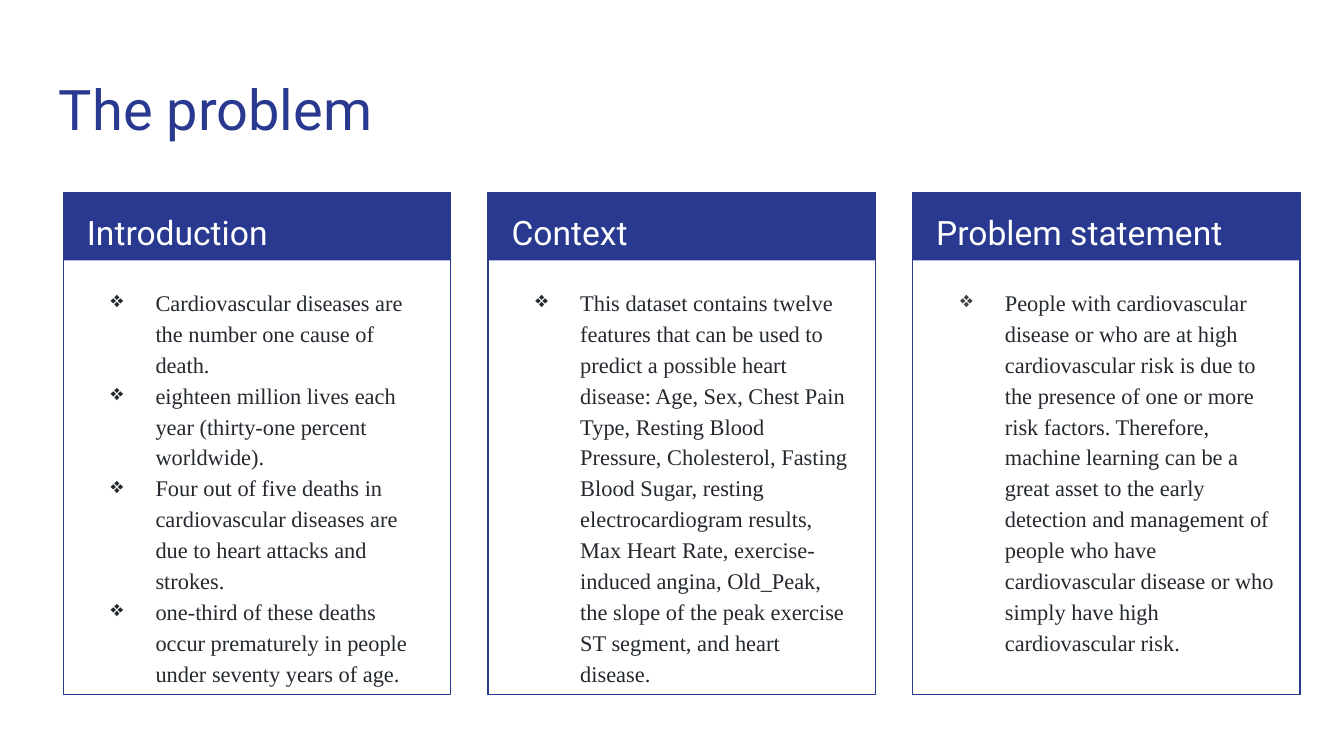
from dataclasses import dataclass

from lxml import etree
from pptx import Presentation
from pptx.dml.color import RGBColor
from pptx.enum.shapes import MSO_SHAPE
from pptx.enum.text import MSO_ANCHOR
from pptx.oxml.ns import qn
from pptx.util import Pt

RECTANGLE = MSO_SHAPE.RECTANGLE
TOP = MSO_ANCHOR.TOP

# Content: heading, bullet colour, bullet texts
TITLE = "The problem"
CARDS = [
    ("Introduction", "24292F", [
        "Cardiovascular diseases are the number one cause of death.",
        "eighteen million lives each year (thirty-one percent worldwide).",
        "Four out of five deaths in cardiovascular diseases are due to heart "
        "attacks and strokes.",
        "one-third of these deaths occur prematurely in people under seventy "
        "years of age.",
    ]),
    ("Context", "24292F", [
        "This dataset contains twelve features that can be used to predict a "
        "possible heart disease: Age, Sex, Chest Pain Type, Resting Blood "
        "Pressure, Cholesterol, Fasting Blood Sugar, resting electrocardiogram "
        "results, Max Heart Rate, exercise-induced angina, Old_Peak, the slope "
        "of the peak exercise ST segment, and heart disease.",
    ]),
    ("Problem statement", "434343", [
        "People with cardiovascular disease or who are at high cardiovascular "
        "risk is due to the presence of one or more risk factors. Therefore, "
        "machine learning can be a great asset to the early detection and "
        "management of people who have cardiovascular disease or who simply "
        "have high cardiovascular risk.",
    ]),
]


@dataclass(frozen=True)
class Theme:
    accent: str = "2A3990"
    paper: str = "FFFFFF"
    ink: str = "24292F"
    heading_font: str = "Roboto"
    body_font: str = "Times New Roman"
    title_size: int = 30
    heading_size: int = 18
    body_size: int = 12
    line_spacing: float = 1.15


THEME = Theme()

# Layout in points
CARD_LEFT, CARD_TOP, CARD_PITCH = 34, 103, 227.5
CARD_WIDTH, CARD_HEIGHT, HEADER_HEIGHT = 207.5, 269, 36.5
HEADING_INSET, BODY_INSET = 5.5, 6.25
BODY_TOP, BODY_WIDTH, BODY_HEIGHT = 145.5, 195, 220
TEXT_MARGIN, BULLET_INDENT, BULLET_HANG = 7.2, 36, 24


def add_text(slide, box, texts, font_name, size, color, spacing=None):
    text_box = slide.shapes.add_textbox(*map(Pt, box))
    frame = text_box.text_frame
    frame.word_wrap = True
    frame.vertical_anchor = TOP
    frame.margin_left = frame.margin_right = Pt(TEXT_MARGIN)
    frame.margin_top = frame.margin_bottom = Pt(TEXT_MARGIN)
    frame.text = "\n".join(texts)
    for paragraph in frame.paragraphs:
        paragraph.line_spacing = spacing
        paragraph.font.name = font_name
        paragraph.font.size = Pt(size)
        paragraph.font.color.rgb = RGBColor.from_string(color)
    return frame


def add_bullet(paragraph, color):
    properties = paragraph._p.get_or_add_pPr()
    properties.set("marL", str(Pt(BULLET_INDENT)))
    properties.set("indent", str(-Pt(BULLET_HANG)))
    bullet_color = etree.Element(qn("a:buClr"))
    etree.SubElement(bullet_color, qn("a:srgbClr"), val=color)
    bullet = etree.Element(qn("a:buChar"), char="❖")
    # Bullet settings come after spacing and before the default font
    default_font = properties.find(qn("a:defRPr"))
    default_font.addprevious(bullet_color)
    default_font.addprevious(bullet)


def add_rectangle(slide, box, fill=None, line=None):
    shape = slide.shapes.add_shape(RECTANGLE, *map(Pt, box))
    shape.shadow.inherit = False
    if fill:
        shape.fill.solid()
        shape.fill.fore_color.rgb = RGBColor.from_string(fill)
    else:
        shape.fill.background()
    if line:
        shape.line.color.rgb = RGBColor.from_string(line)
        shape.line.width = Pt(0.75)
    else:
        shape.line.fill.background()


def add_card(slide, left, heading, bullet_color, texts):
    # Header band and frame
    add_rectangle(slide, (left, CARD_TOP, CARD_WIDTH, HEADER_HEIGHT),
                  fill=THEME.accent)
    add_rectangle(slide, (left, CARD_TOP, CARD_WIDTH, CARD_HEIGHT),
                  line=THEME.accent)

    # Heading and bullets
    heading_box = (left + HEADING_INSET, CARD_TOP,
                   CARD_WIDTH - 2 * HEADING_INSET, HEADER_HEIGHT)
    add_text(slide, heading_box, [heading], THEME.heading_font,
             THEME.heading_size, THEME.paper, THEME.line_spacing)
    body_box = (left + BODY_INSET, BODY_TOP, BODY_WIDTH, BODY_HEIGHT)
    body = add_text(slide, body_box, texts, THEME.body_font,
                    THEME.body_size, THEME.ink, THEME.line_spacing)
    for paragraph in body.paragraphs:
        add_bullet(paragraph, bullet_color)


def main():
    presentation = Presentation()
    presentation.slide_width, presentation.slide_height = Pt(720), Pt(405)
    slide = presentation.slides.add_slide(presentation.slide_layouts[6])

    # Title
    add_text(slide, (24.5, 32.5, 671, 47.5), [TITLE], THEME.heading_font,
             THEME.title_size, THEME.accent)

    # Cards
    for index, card in enumerate(CARDS):
        add_card(slide, CARD_LEFT + index * CARD_PITCH, *card)

    presentation.save("out.pptx")


if __name__ == "__main__":
    main()
